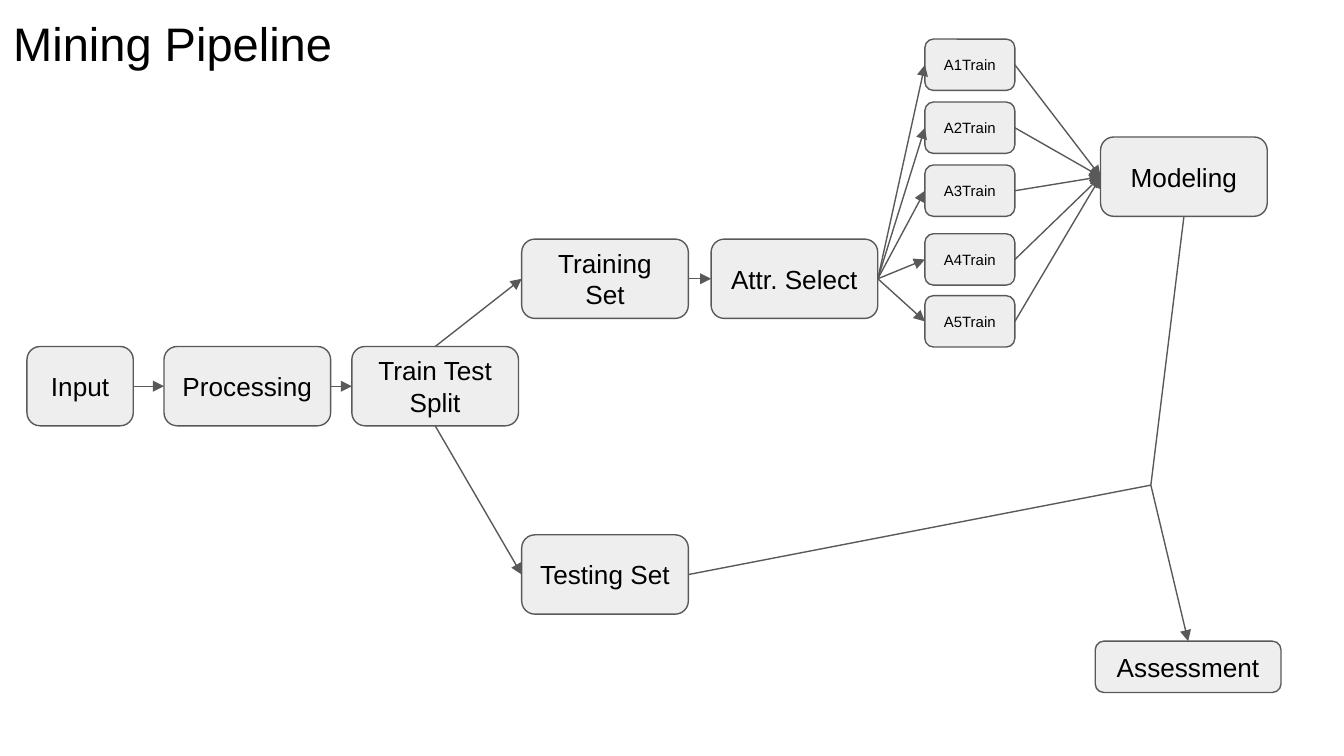
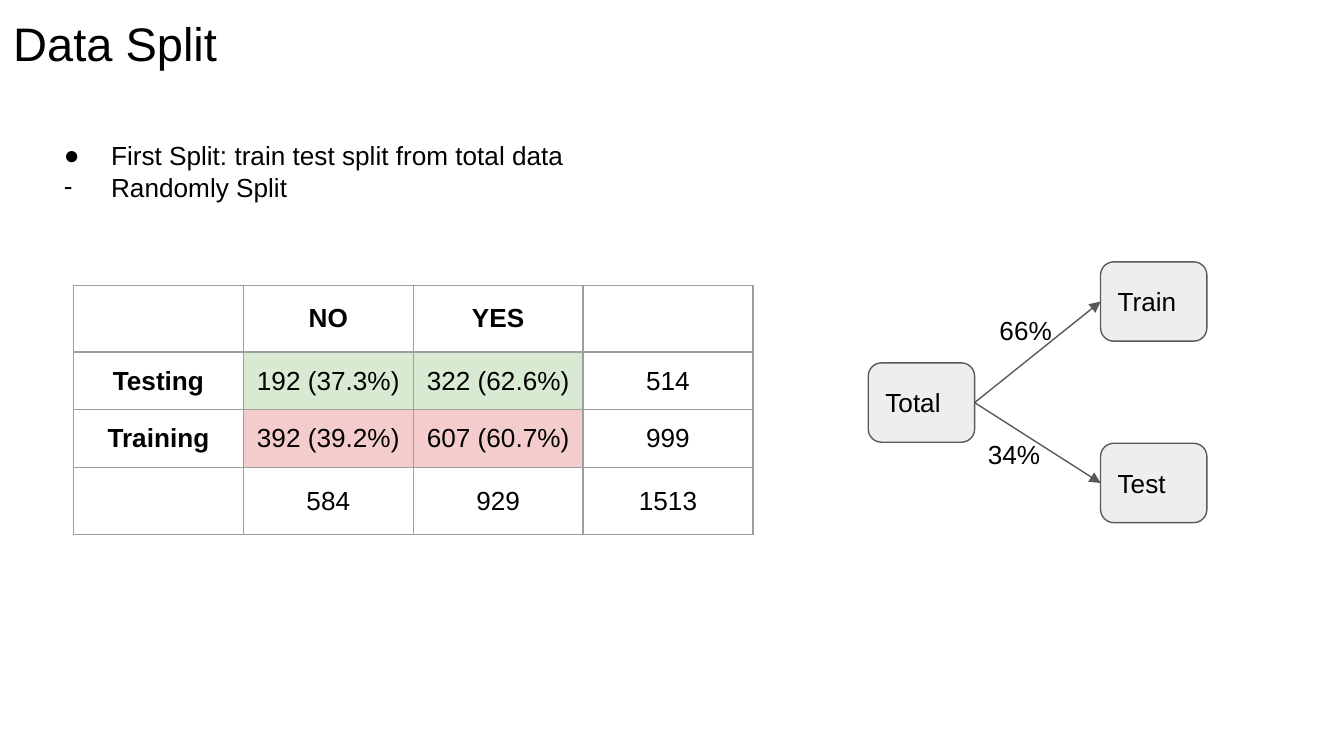
import pptx
import pptx.util
import pptx.dml.color
import pptx.enum.shapes
import pptx.enum.text
import pptx.oxml
import pptx.oxml.ns

Cm, Pt = pptx.util.Cm, pptx.util.Pt
Anchor, Align = pptx.enum.text.MSO_ANCHOR, pptx.enum.text.PP_ALIGN

# ---- Theme ----
THEME = {
    "font": "Arial", "ink": "000000", "box": "EEEEEE", "edge": "595959",
    "grid": "9E9E9E", "green": "D9EAD3", "red": "F4CCCC",
    "title_size": 25.2, "text_size": 14, "small_size": 8,
    "line_width": 0.75, "inset": 0.25,
}
# Box sizes in cm: width, height
WIDE, SHORT, SMALL, FLAT = (3.15, 1.5), (2.01, 1.5), (1.7, 0.97), (3.51, 0.97)
TOP, LEFT, BOTTOM, RIGHT = range(4)  # connection sites of a box

# ---- Content: Mining Pipeline (label, left, top, size) ----
PIPELINE = [
    ("Input", 0.51, 6.55, SHORT),
    ("Processing", 3.1, 6.55, WIDE),
    ("Train Test Split", 6.65, 6.55, WIDE),
    ("Training Set", 9.86, 4.52, WIDE),
    ("Testing Set", 9.86, 10.11, WIDE),
    ("Attr. Select", 13.44, 4.52, WIDE),
    ("Modeling", 20.8, 2.59, WIDE),
    ("Assessment", 20.7, 12.12, FLAT),
]
SUBSET_LEFT = 17.48
SUBSET_TOPS = {"A1Train": 0.74, "A2Train": 1.93, "A3Train": 3.12,
               "A4Train": 4.42, "A5Train": 5.59}
PIPELINE_ARROWS = [
    ("Input", RIGHT, "Processing", LEFT),
    ("Processing", RIGHT, "Train Test Split", LEFT),
    ("Train Test Split", BOTTOM, "Testing Set", LEFT),
    ("Train Test Split", TOP, "Training Set", LEFT),
    ("Training Set", RIGHT, "Attr. Select", LEFT),
]
JUNCTION = (21.75, 9.17)  # model and testing set meet here

# ---- Content: Data Split ----
POINTS = [("●", "First Split: train test split from total data"),
          ("-", "Randomly Split")]
COUNTS = [
    ("", "NO", "YES", ""),
    ("Testing", "192 (37.3%)", "322 (62.6%)", "514"),
    ("Training", "392 (39.2%)", "607 (60.7%)", "999"),
    ("", "584", "929", "1513"),
]
ROW_TINTS = {1: "green", 2: "red"}
COLUMN_WIDTH, ROW_HEIGHT = 3.21, 1.09
SPLIT = [("Total", 16.41, 6.86, SHORT),
         ("Test", 20.8, 8.38, SHORT),
         ("Train", 20.8, 4.95, SHORT)]
SPLIT_ARROWS = [("Total", RIGHT, "Train", LEFT), ("Total", RIGHT, "Test", LEFT)]
SHARES = [("66%", 18.64, 5.69), ("34%", 18.42, 8.03)]


# ---- Helpers ----
def color(key):
    return pptx.dml.color.RGBColor.from_string(THEME[key])


def assign(target, values):
    for key, value in values.items():
        setattr(target, key, value)


def add_xml(parent, xml):
    declaration = pptx.oxml.ns.nsdecls("a")
    head, rest = xml.split(" ", 1)
    parent.append(pptx.oxml.parse_xml(f"{head} {declaration} {rest}"))


def place(shape, left, top, width, height):
    assign(shape, {"left": Cm(left), "top": Cm(top),
                   "width": Cm(width), "height": Cm(height)})


def margins(target):
    for side in ("left", "top", "right", "bottom"):
        setattr(target, f"margin_{side}", Cm(THEME["inset"]))


def write(frame, text, size="text_size", align=Align.LEFT, anchor=Anchor.TOP):
    margins(frame)
    assign(frame, {"word_wrap": True, "vertical_anchor": anchor,
                   "auto_size": pptx.enum.text.MSO_AUTO_SIZE.NONE})
    write_paragraph(frame.paragraphs[0], text, size, align)


def write_paragraph(paragraph, text, size="text_size", align=Align.LEFT, bold=False):
    paragraph.alignment = align
    if text:
        run = paragraph.add_run()
        run.text = text
        assign(run.font, {"name": THEME["font"], "size": Pt(THEME[size]), "bold": bold})
        run.font.color.rgb = color("ink")


def new_slide(title):
    slide = deck.slides.add_slide(deck.slide_layouts[5])
    heading = slide.shapes.title
    place(heading, 0, 0, 23.67, 1.6)
    write(heading.text_frame, title, "title_size", anchor=Anchor.BOTTOM)
    return slide


def add_box(slide, label, left, top, size, text_size="text_size", align=Align.CENTER):
    box = slide.shapes.add_shape(
        pptx.enum.shapes.MSO_SHAPE.FLOWCHART_ALTERNATE_PROCESS,
        Cm(left), Cm(top), Cm(size[0]), Cm(size[1]))
    box.shadow.inherit = False
    box.fill.solid()
    box.fill.fore_color.rgb = color("box")
    box.line.color.rgb = color("edge")
    box.line.width = Pt(THEME["line_width"])
    write(box.text_frame, label, text_size, align, Anchor.MIDDLE)
    return box


def add_link(slide, start=None, end=None, arrow=True):
    """Join two (box, site) ends; an end left out lies on the junction."""
    x, y = map(Cm, JUNCTION)
    link = slide.shapes.add_connector(
        pptx.enum.shapes.MSO_CONNECTOR.STRAIGHT, x, y, x, y)
    if start:
        link.begin_connect(*start)
    if end:
        link.end_connect(*end)
    link.line.color.rgb = color("edge")
    link.line.width = Pt(THEME["line_width"])
    if arrow:
        add_xml(link.line._get_or_add_ln(), '<a:tailEnd type="triangle"/>')
    add_xml(link._element.spPr, "<a:effectLst />")


def add_links(slide, boxes, arrows):
    for source, source_site, target, target_site in arrows:
        add_link(slide, (boxes[source], source_site), (boxes[target], target_site))


def add_text(slide, left, top, width, height):
    return slide.shapes.add_textbox(Cm(left), Cm(top), Cm(width), Cm(height)).text_frame


def style_cell(cell, tint):
    margins(cell)
    cell.vertical_anchor = Anchor.MIDDLE
    for side in "LRTB":
        add_xml(cell._tc.get_or_add_tcPr(),
                f'<a:ln{side} w="{Pt(THEME["line_width"])}"><a:solidFill>'
                f'<a:srgbClr val="{THEME["grid"]}"/></a:solidFill></a:ln{side}>')
    if tint:
        cell.fill.solid()
        cell.fill.fore_color.rgb = color(tint)
    else:
        cell.fill.background()


deck = pptx.Presentation()
assign(deck, {"slide_width": Cm(25.4), "slide_height": Cm(14.29)})

# ---- Slide 1: Mining Pipeline ----
pipeline = new_slide("Mining Pipeline")
stages = {stage[0]: add_box(pipeline, *stage) for stage in PIPELINE}
for subset, top in SUBSET_TOPS.items():
    stages[subset] = add_box(pipeline, subset, SUBSET_LEFT, top, SMALL, "small_size")
add_links(pipeline, stages, PIPELINE_ARROWS)
add_links(pipeline, stages, [("Attr. Select", RIGHT, s, LEFT) for s in SUBSET_TOPS])
add_links(pipeline, stages, [(s, RIGHT, "Modeling", LEFT) for s in SUBSET_TOPS])
add_link(pipeline, start=(stages["Modeling"], BOTTOM), arrow=False)
add_link(pipeline, start=(stages["Testing Set"], RIGHT), arrow=False)
add_link(pipeline, end=(stages["Assessment"], TOP))

# ---- Slide 2: Data Split ----
data_split = new_slide("Data Split")

# Bulleted points
points = add_text(data_split, 0.58, 2.39, 23.88, 2.9)
margins(points)
points.word_wrap = True
for index, (bullet, point) in enumerate(POINTS):
    paragraph = points.add_paragraph() if index else points.paragraphs[0]
    write_paragraph(paragraph, point)
    properties = paragraph._p.get_or_add_pPr()
    properties.set("marL", str(Cm(1.27)))
    properties.set("indent", str(Cm(-0.89)))
    add_xml(properties, f'<a:buClr ><a:srgbClr val="{THEME["ink"]}"/></a:buClr>')
    add_xml(properties, f'<a:buFont typeface="{THEME["font"]}"/>')
    add_xml(properties, f'<a:buChar char="{bullet}"/>')

# Counts by class
rows, columns = len(COUNTS), len(COUNTS[0])
counts = data_split.shapes.add_table(
    rows, columns, Cm(1.39), Cm(5.39),
    Cm(columns * COLUMN_WIDTH), Cm(rows * ROW_HEIGHT)).table
assign(counts, {"first_row": False, "horz_banding": False})
for r, values in enumerate(COUNTS):
    counts.rows[r].height = Cm(ROW_HEIGHT)
    for c, value in enumerate(values):
        cell = counts.cell(r, c)
        style_cell(cell, ROW_TINTS.get(r) if c in (1, 2) else None)
        write_paragraph(cell.text_frame.paragraphs[0], value,
                        align=Align.CENTER, bold=r == 0 or c == 0)

# Split diagram
parts = {part[0]: add_box(data_split, *part, align=Align.LEFT) for part in SPLIT}
add_links(data_split, parts, SPLIT_ARROWS)
for share, left, top in SHARES:
    write(add_text(data_split, left, top, 4.17, 1.12), share)

deck.save("out.pptx")
